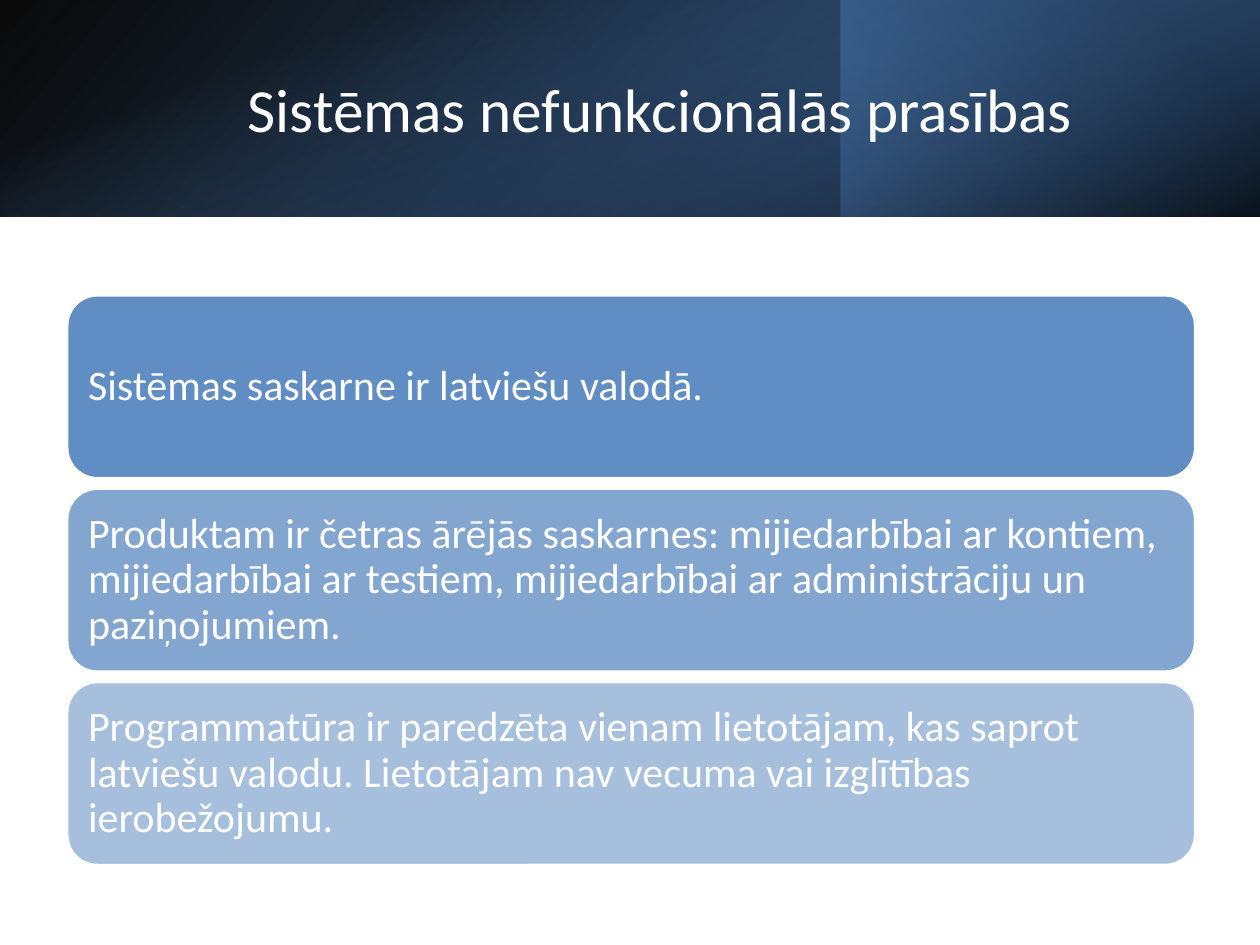
import pptx
import pptx.util
import pptx.dml.color
import pptx.enum.shapes
import pptx.enum.text
import pptx.oxml.ns
from lxml import etree

Inches, Pt = pptx.util.Inches, pptx.util.Pt
RGBColor = pptx.dml.color.RGBColor
Shape = pptx.enum.shapes.MSO_SHAPE
Align = pptx.enum.text.PP_ALIGN
Anchor = pptx.enum.text.MSO_ANCHOR

WHITE = RGBColor(0xFF, 0xFF, 0xFF)
BLACK = RGBColor(0x00, 0x00, 0x00)
BLUE = RGBColor(0x4F, 0x81, 0xBD)
NAVY = RGBColor(0x25, 0x40, 0x61)
STEEL = RGBColor(0x37, 0x60, 0x92)

# Format values
TITLE = {
    "font": {"name": "Calibri", "size": Pt(35)},
    "para": {"alignment": Align.CENTER},
    "inset": (0.1, 0.05),
}
BODY = {
    "font": {"name": "Calibri", "size": Pt(24)},
    "para": {"alignment": Align.LEFT, "line_spacing": 0.9, "space_after": Pt(8.4)},
    "inset": (0.1, 0.1),
}


def apply(item, values):
    for name, value in values.items():
        setattr(item, name, value)


class Page:
    def __init__(self, slide, ink):
        self.slide = slide
        self.ink = ink

    def shape(self, kind, box):
        item = self.slide.shapes.add_shape(kind, *map(Inches, box))
        item.shadow.inherit = False
        return item

    def fade(self, item, levels):
        """Set the opacity, in percent, of each fill colour."""
        colors = item._element.spPr.xpath(".//a:srgbClr")
        for color, level in zip(colors, levels):
            alpha = etree.SubElement(color, pptx.oxml.ns.qn("a:alpha"))
            alpha.set("val", str(level * 1000))

    def band(self, box, stops, angle, turn=0, flip=False):
        item = self.shape(Shape.RECTANGLE, box)
        item.rotation = turn
        if flip:
            item._element.spPr.xfrm.set("flipH", "1")
        item.fill.gradient()
        item.fill.gradient_angle = 360 - angle
        for stop, (place, color, _) in zip(item.fill.gradient_stops, stops):
            stop.position = place / 100
            stop.color.rgb = color
        self.fade(item, [level for _, _, level in stops])
        item.line.fill.background()

    def card(self, box, level):
        item = self.shape(Shape.ROUNDED_RECTANGLE, box)
        item.fill.solid()
        item.fill.fore_color.rgb = BLUE
        self.fade(item, [level])
        item.line.color.rgb = WHITE
        item.line.width = Pt(2)

    def text(self, box, words, style):
        frame = self.slide.shapes.add_textbox(*map(Inches, box)).text_frame
        side, edge = map(Inches, style["inset"])
        apply(frame, {
            "word_wrap": True, "vertical_anchor": Anchor.MIDDLE,
            "margin_left": side, "margin_right": side,
            "margin_top": edge, "margin_bottom": edge,
        })
        para = frame.paragraphs[0]
        apply(para, style["para"])
        run = para.add_run()
        run.text = words
        apply(run.font, style["font"])
        run.font.color.rgb = self.ink


def main():
    deck = pptx.Presentation()
    deck.slide_width, deck.slide_height = Inches(10), Inches(7.5)
    page = Page(deck.slides.add_slide(deck.slide_layouts[6]), WHITE)

    # Header: three layered gradients
    page.band((0, 0, 10, 1.72), [(0, BLACK, 96), (100, STEEL, 100)], 140, flip=True)
    page.band((6.67, 0, 3.33, 1.72), [(19, NAVY, 68), (100, BLUE, 79)], 320, turn=180)
    page.band((4.14, -4.14, 1.72, 10), [(23, BLUE, 0), (99, BLACK, 74)], 340, turn=90)
    page.text((1.12, 0.38, 8.24, 0.96), "Sistēmas nefunkcionālās prasības", TITLE)

    # Requirement cards, each paler than the one above
    needs = [
        "Sistēmas saskarne ir latviešu valodā.",
        "Produktam ir četras ārējās saskarnes: mijiedarbībai ar kontiem, "
        "mijiedarbībai ar testiem, mijiedarbībai ar administrāciju un paziņojumiem.",
        "Programmatūra ir paredzēta vienam lietotājam, kas saprot latviešu valodu. "
        "Lietotājam nav vecuma vai izglītības ierobežojumu.",
    ]
    left, top, width, height, step, pad = 0.53, 2.34, 8.96, 1.46, 1.535, 0.07
    for row, words in enumerate(needs):
        y = top + row * step
        page.card((left, y, width, height), 90 - 20 * row)
        page.text((left + pad, y + pad, width - 2 * pad, height - 2 * pad), words, BODY)

    deck.save("out.pptx")


if __name__ == "__main__":
    main()
